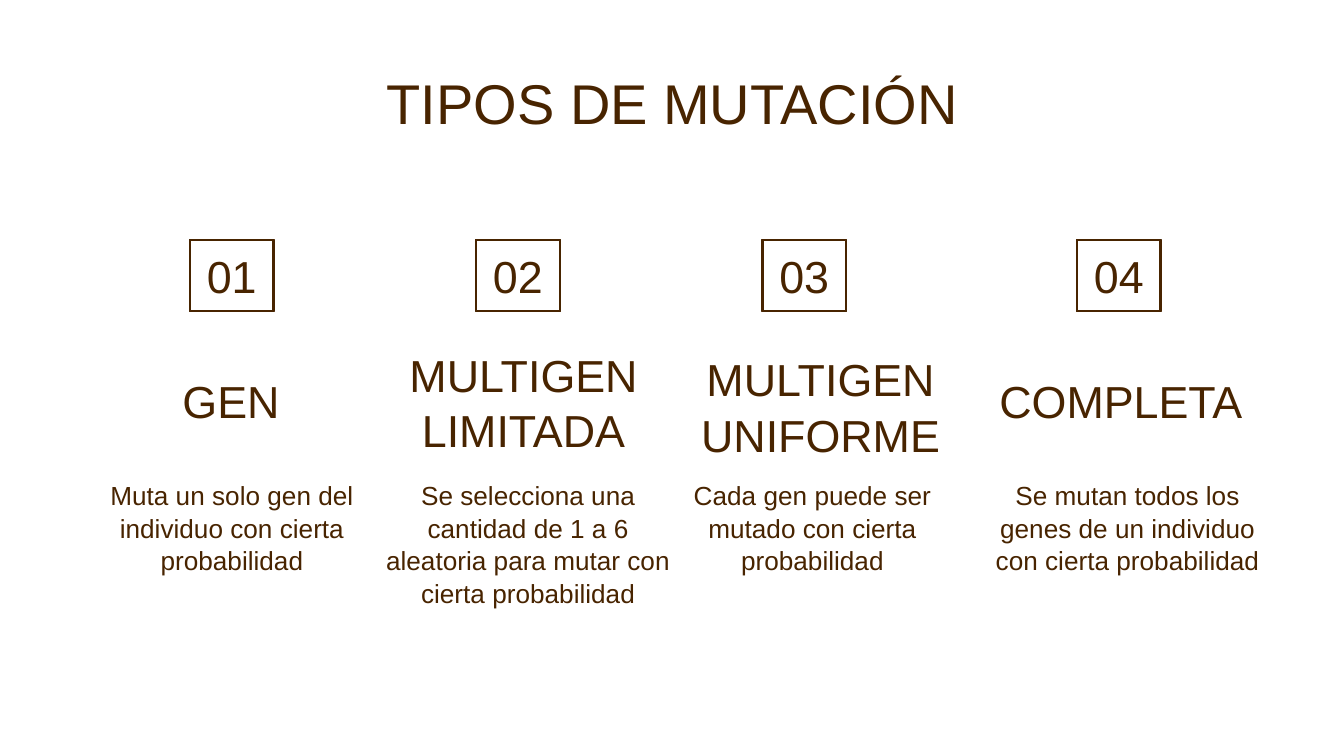
"""Build the slide on the four types of mutation."""
from dataclasses import dataclass

from pptx import Presentation
from pptx.dml.color import RGBColor
from pptx.enum.text import MSO_ANCHOR, PP_ALIGN
from pptx.util import Pt


@dataclass(frozen=True)
class Theme:
    font: str = "Arial"
    ink: RGBColor = RGBColor(0x48, 0x24, 0x00)
    frame: RGBColor = RGBColor(0x5D, 0x3D, 0x1D)
    paper: RGBColor = RGBColor(0xFF, 0xFF, 0xFF)
    title: int = 30
    heading: int = 24
    body: int = 14


theme = Theme()


def write(text, *, box, size, anchor=MSO_ANCHOR.TOP, holder=None):
    left, top, width, height = map(Pt, box)
    if holder is None:
        holder = slide.shapes.add_textbox(left, top, width, height)
    holder.left, holder.top, holder.width, holder.height = left, top, width, height
    frame = holder.text_frame
    frame.word_wrap = True
    frame.vertical_anchor = anchor
    frame.margin_left = frame.margin_right = Pt(7.2)
    frame.margin_top = frame.margin_bottom = Pt(7.2)
    frame.text = text
    paragraph = frame.paragraphs[0]
    paragraph.alignment = PP_ALIGN.CENTER
    paragraph.line_spacing = 1.04
    font = paragraph.runs[0].font
    font.name, font.size, font.color.rgb = theme.font, Pt(size), theme.ink


def outline(left, top, right, bottom):
    corners = [(left, top), (left, bottom), (right, bottom), (right, top)]
    return [(Pt(x), Pt(y)) for x, y in corners]


presentation = Presentation()
presentation.slide_width, presentation.slide_height = Pt(720), Pt(405)
slide = presentation.slides.add_slide(presentation.slide_layouts[5])
slide.background.fill.solid()
slide.background.fill.fore_color.rgb = theme.paper

write("TIPOS DE MUTACIÓN", box=(152.6, 28.1, 415.4, 76.3), size=theme.title,
      holder=slide.shapes.title)

mutations = [
    (92.9, "GEN", (48.2, 197.3, 151.2, 38.9),
     "Muta un solo gen del individuo con cierta probabilidad", (45.4, 157.7)),
    (246.2, "MULTIGEN LIMITADA", (201.6, 213.1, 157.7, 38.9),
     "Se selecciona una cantidad de 1 a 6 aleatoria para mutar con cierta probabilidad",
     (198.7, 168.5)),
    (399.6, "MULTIGEN UNIFORME", (367.2, 193, 144.7, 61.2),
     "Cada gen puede ser mutado con cierta probabilidad", (356.4, 157.7)),
    (568.1, "COMPLETA", (514.8, 175, 171.4, 61.2),
     "Se mutan todos los genes de un individuo con cierta probabilidad",
     (521.3, 165.6)),
]
number_width = 62.6
frame_width, frame_top, frame_bottom, stroke = 45.4, 128.2, 167, 0.6

for number, (number_left, name, name_box, description, span) in enumerate(mutations, 1):
    left = number_left + (number_width - frame_width) / 2
    right = left + frame_width
    outer = outline(left, frame_top, right, frame_bottom)
    inner = outline(left + stroke, frame_top + stroke,
                    right - stroke, frame_bottom - stroke)
    builder = slide.shapes.build_freeform(*outer[0])
    builder.add_line_segments(outer[1:])
    builder.move_to(*inner[0])
    builder.add_line_segments(inner[:0:-1])
    border = builder.convert_to_shape()
    border.shadow.inherit = False
    border.fill.solid()
    border.fill.fore_color.rgb = theme.frame
    border.line.color.rgb = theme.ink
    border.line.width = Pt(0.75)

    write(f"{number:02}", box=(number_left, 138.2, number_width, 18),
          size=theme.heading, anchor=MSO_ANCHOR.MIDDLE)
    write(name, box=name_box, size=theme.heading, anchor=MSO_ANCHOR.BOTTOM)
    write(description, box=(span[0], 249.1, span[1], 61.2), size=theme.body)

presentation.save("out.pptx")
